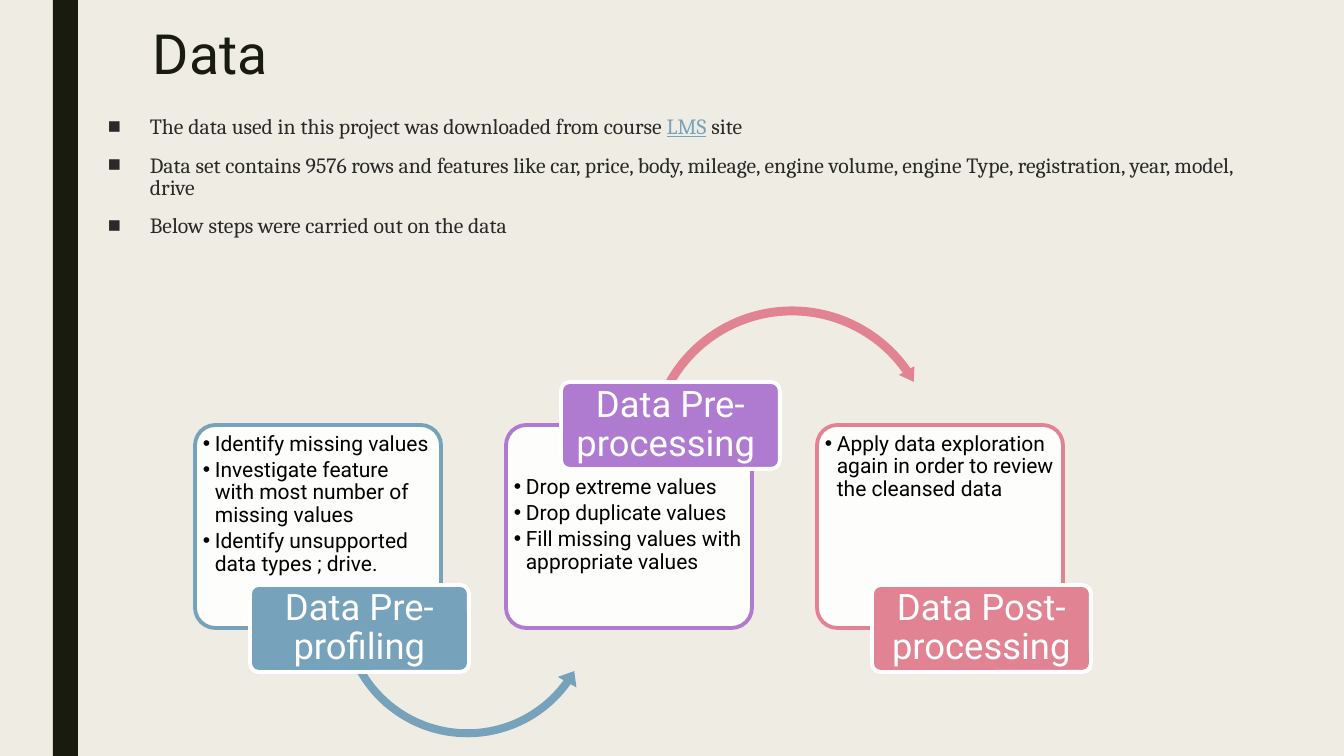
from lxml import etree
from pptx import Presentation
from pptx.dml.color import RGBColor
from pptx.enum.shapes import MSO_SHAPE
from pptx.enum.text import MSO_ANCHOR, PP_ALIGN
from pptx.oxml.ns import qn
from pptx.util import Emu, Pt

RECT = MSO_SHAPE.RECTANGLE
ROUNDED = MSO_SHAPE.ROUNDED_RECTANGLE
ARC_UNDER = MSO_SHAPE.LEFT_CIRCULAR_ARROW
ARC_OVER = MSO_SHAPE.CIRCULAR_ARROW
TOP = MSO_ANCHOR.TOP
MIDDLE = MSO_ANCHOR.MIDDLE
LEFT = PP_ALIGN.LEFT
CENTER = PP_ALIGN.CENTER

EMU_PER_PX = 914400 / 100.8
COLORS = {
    "page": "EFEDE3",
    "dark": "191B0E",
    "body": "292929",
    "black": "000000",
    "white": "FFFFFF",
    "blue": "77A2BB",
    "purple": "AE7BD0",
    "pink": "E28394",
}

INTRO = [
    [
        ("The data used in this project was downloaded from course ", "body", False),
        ("LMS", "blue", True),
        (" site", "body", False),
    ],
    [(
        "Data set contains 9576 rows and features like car, price, body, mileage, "
        "engine volume, engine Type, registration, year, model, drive",
        "body", False,
    )],
    [("Below steps were carried out on the data", "body", False)],
]

STEPS = [
    ("Data Pre-profiling", "blue", False, [
        "Identify missing values",
        "Investigate feature with most number of missing values",
        "Identify unsupported data types ; drive.",
    ]),
    ("Data Pre-processing ", "purple", True, [
        "Drop extreme values",
        "Drop duplicate values",
        "Fill missing values with appropriate values",
    ]),
    ("Data Post-processing", "pink", False, [
        "Apply data exploration again in order to review the cleansed data",
    ]),
]

ARROWS = [
    (ARC_UNDER, (334, 477, 267, 267), "blue", (0.03, 3.69, 21.44, 90.24, 0.04)),
    (ARC_OVER, (643, 302, 298, 298), "pink", (0.03, 3.28, 194.97, 125.76, 0.03)),
]

CARD_LEFT, CARD_TOP, CARD_WIDTH, CARD_HEIGHT, CARD_PITCH = 195, 425, 246, 203, 311
LABEL_WIDTH, LABEL_HEIGHT, LABEL_SHIFT = 219, 87, 55
LABEL_HIGH, LABEL_LOW = 382, 585


def px(length):
    return Emu(round(length * EMU_PER_PX))


def color(name):
    return RGBColor.from_string(COLORS[name])


def add_block(page, preset, place, fill, line=None, adjustments=()):
    block = page.shapes.add_shape(preset, *map(px, place))
    block.shadow.inherit = False
    block.fill.solid()
    block.fill.fore_color.rgb = color(fill)
    if line:
        block.line.color.rgb = color(line)
        block.line.width = Pt(2.75)
    else:
        block.line.fill.background()
    for index, value in enumerate(adjustments):
        block.adjustments[index] = value
    return block


def add_text_box(page, place):
    return page.shapes.add_textbox(*map(px, place))


def set_frame(box, insets, anchor):
    frame = box.text_frame
    frame.word_wrap = True
    frame.vertical_anchor = anchor
    (frame.margin_left, frame.margin_top,
     frame.margin_right, frame.margin_bottom) = map(px, insets)
    return frame


def add_para(frame, index, spacing, align=LEFT, before=0, after=0):
    para = frame.paragraphs[0] if index == 0 else frame.add_paragraph()
    para.alignment = align
    para.line_spacing = spacing
    para.space_before = Pt(before if index else 0)
    para.space_after = Pt(after)
    return para


def add_span(para, text, font, size, tint, underline=False):
    span = para.add_run()
    span.text = text
    span.font.name = font
    span.font.size = Pt(size)
    span.font.color.rgb = color(tint)
    span.font.underline = underline


def set_bullet(para, mark, indent):
    properties = para._p.get_or_add_pPr()
    properties.set("marL", str(px(indent)))
    properties.set("indent", str(-px(indent)))
    etree.SubElement(properties, qn("a:buFont")).set("typeface", "Arial")
    etree.SubElement(properties, qn("a:buChar")).set("char", mark)


def set_opacity(block, percent):
    solid = block._element.spPr.find(qn("a:solidFill"))
    etree.SubElement(solid[0], qn("a:alpha")).set("val", str(percent * 1000))


def add_title(page):
    box = add_text_box(page, (143, 21, 1058, 72))
    frame = set_frame(box, (10, 5, 10, 5), MIDDLE)
    add_span(add_para(frame, 0, 0.89), "Data", "Roboto", 39.6, "dark")


def add_intro(page):
    box = add_text_box(page, (98, 112, 1175, 134))
    frame = set_frame(box, (10, 5, 10, 5), TOP)
    for index, spans in enumerate(INTRO):
        para = add_para(frame, index, 0.84, before=10, after=2)
        set_bullet(para, "■", 42)
        for text, tint, underline in spans:
            add_span(para, text, "Cambria", 15.5, tint, underline)


def add_card(page, left, tint, label_on_top, items):
    place = (left, CARD_TOP, CARD_WIDTH, CARD_HEIGHT)
    card = add_block(page, ROUNDED, place, "white", tint, (0.1,))
    set_opacity(card, 90)
    top_inset = 45 if label_on_top else 2
    frame = set_frame(card, (2, top_inset, 2, 2), TOP)
    for index, item in enumerate(items):
        para = add_para(frame, index, 0.9, after=2.5)
        set_bullet(para, "•", 12)
        add_span(para, item, "Roboto", 15, "black")


def add_label(page, left, tint, label_on_top, name):
    top = LABEL_HIGH if label_on_top else LABEL_LOW
    place = (left + LABEL_SHIFT, top, LABEL_WIDTH, LABEL_HEIGHT)
    label = add_block(page, ROUNDED, place, tint, "white", (0.1,))
    frame = set_frame(label, (5, 4, 5, 4), MIDDLE)
    add_span(add_para(frame, 0, 0.9, CENTER), name, "Roboto", 26, "white")


def add_steps(page):
    for index, (name, tint, label_on_top, items) in enumerate(STEPS):
        left = CARD_LEFT + index * CARD_PITCH
        add_card(page, left, tint, label_on_top, items)
        if index < len(ARROWS):
            preset, place, arrow_tint, adjustments = ARROWS[index]
            add_block(page, preset, place, arrow_tint, adjustments=adjustments)
        add_label(page, left, tint, label_on_top, name)


def main():
    deck = Presentation()
    deck.slide_width, deck.slide_height = px(1344), px(756)
    page = deck.slides.add_slide(deck.slide_layouts[6])
    page.background.fill.solid()
    page.background.fill.fore_color.rgb = color("page")
    add_block(page, RECT, (53, 0, 25, 756), "dark")
    add_title(page)
    add_intro(page)
    add_steps(page)
    deck.save("out.pptx")


if __name__ == "__main__":
    main()
